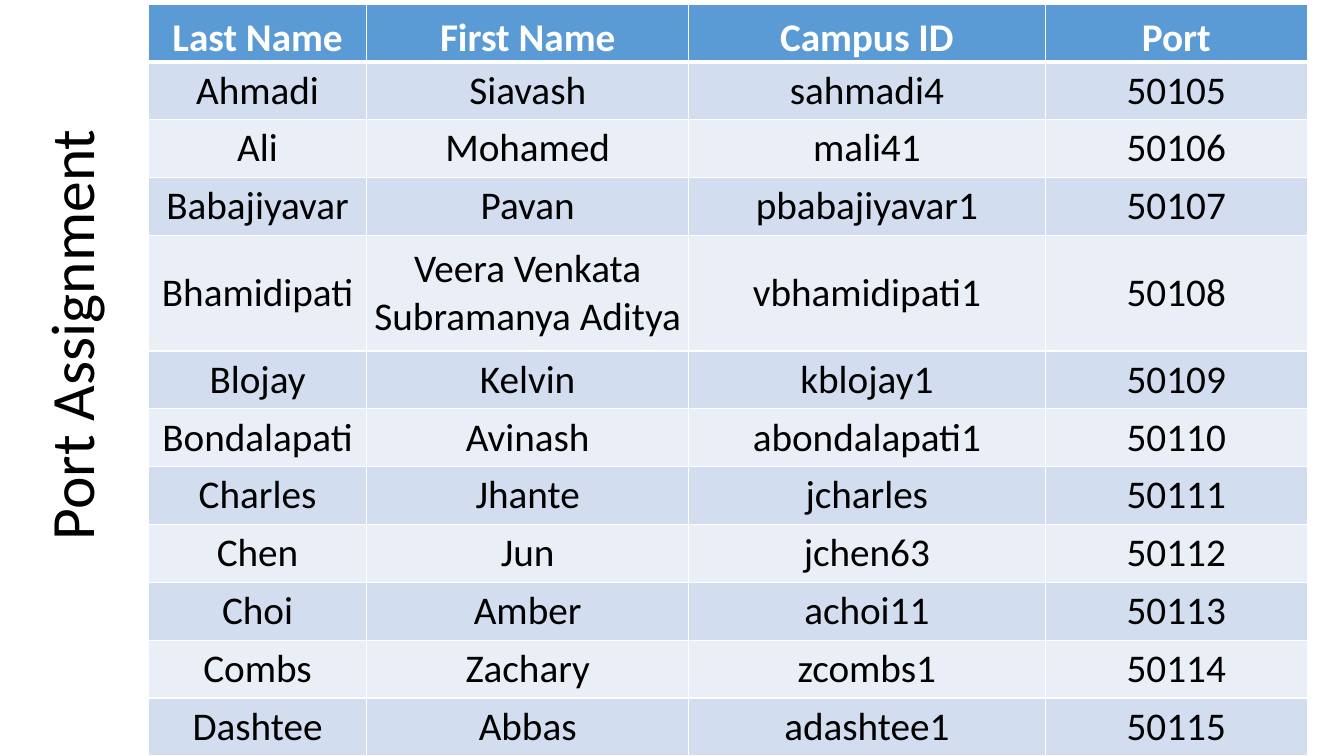
import pptx
import pptx.dml.color
import pptx.enum.text
import pptx.oxml
import pptx.oxml.ns
import pptx.util

COLORS = {
    "white": "FFFFFF",
    "black": "000000",
    "header": "5B9BD5",
    "odd": "D2DEEF",
    "even": "EAEFF7",
}
ANCHOR = pptx.enum.text.MSO_ANCHOR
ALIGN = pptx.enum.text.PP_ALIGN

HEADINGS = ["Last Name", "First Name", "Campus ID", "Port"]
FIRST_PORT = 50105
STUDENTS = [
    ("Ahmadi", "Siavash", "sahmadi4"),
    ("Ali", "Mohamed", "mali41"),
    ("Babajiyavar", "Pavan", "pbabajiyavar1"),
    ("Bhamidipati", "Veera Venkata Subramanya Aditya", "vbhamidipati1"),
    ("Blojay", "Kelvin", "kblojay1"),
    ("Bondalapati", "Avinash", "abondalapati1"),
    ("Charles", "Jhante", "jcharles"),
    ("Chen", "Jun", "jchen63"),
    ("Choi", "Amber", "achoi11"),
    ("Combs", "Zachary", "zcombs1"),
    ("Dashtee", "Abbas", "adashtee1"),
]
TWO_LINE_ROW = 4


def rgb(name):
    return pptx.dml.color.RGBColor.from_string(COLORS[name])


def grid(units):
    """Convert grid columns or rows, ten to the inch, to a length."""
    return pptx.util.Inches(units / 10)


def write(tf, text, font="Calibri", size=28, color="black", bold=False,
          align=ALIGN.CENTER, spacing=None):
    p = tf.paragraphs[0]
    p.alignment = align
    p.line_spacing = spacing
    r = p.add_run()
    r.text = text
    r.font.name = font
    r.font.size = pptx.util.Pt(size)
    r.font.bold = bold
    r.font.color.rgb = rgb(color)


class Deck:
    def __init__(self, columns, rows, font):
        self.prs = pptx.Presentation()
        self.prs.slide_width = grid(columns)
        self.prs.slide_height = grid(rows)
        self.font = font
        self.s = self.prs.slides.add_slide(self.prs.slide_layouts[6])

    def title(self, text, x, y, w, h, rotation):
        sp = self.s.shapes.add_textbox(grid(x), grid(y), grid(w), grid(h))
        sp.rotation = rotation
        tf = sp.text_frame
        tf.word_wrap = True
        tf.vertical_anchor = ANCHOR.MIDDLE
        write(tf, text, font=self.font, size=44, align=ALIGN.LEFT, spacing=0.9)

    def border(self, cell, side, width):
        ln = pptx.oxml.parse_xml(
            f'<a:ln{side} {pptx.oxml.ns.nsdecls("a")} w="{pptx.util.Pt(width)}">'
            f'<a:solidFill><a:srgbClr val="{COLORS["white"]}"/></a:solidFill>'
            f'</a:ln{side}>')
        cell._tc.get_or_add_tcPr().append(ln)

    def cell(self, cell, text, row):
        header = row == 0
        for side in "LRTB":
            thick = (header and side == "B") or (row == 1 and side == "T")
            self.border(cell, side, 3 if thick else 1)
        cell.fill.solid()
        fill = "header" if header else "odd" if row % 2 else "even"
        cell.fill.fore_color.rgb = rgb(fill)
        cell.margin_left = cell.margin_right = 0
        cell.margin_top = cell.margin_bottom = 0
        cell.vertical_anchor = ANCHOR.BOTTOM if header else ANCHOR.MIDDLE
        write(cell.text_frame, text, font=self.font, bold=header,
              color="white" if header else "black")

    def table(self, data, x, y, widths, heights):
        frame = self.s.shapes.add_table(
            len(data), len(widths), grid(x), grid(y),
            grid(sum(widths)), grid(sum(heights)))
        table = frame.table
        for column, width in zip(table.columns, widths):
            column.width = grid(width)
        for i, (values, height) in enumerate(zip(data, heights)):
            table.rows[i].height = grid(height)
            for j, text in enumerate(values):
                self.cell(table.cell(i, j), text, i)


def main():
    deck = Deck(133.33, 75, "Calibri")
    data = [HEADINGS] + [
        (*student, str(FIRST_PORT + i)) for i, student in enumerate(STUDENTS)]
    heights = [5.74 * (2 if i == TWO_LINE_ROW else 1) for i in range(len(data))]
    deck.table(data, 14.7, 0.4, [21.7, 31.9, 35.4, 26], heights)
    deck.title("Port Assignment", -14.3, 28.7, 43.4, 8.4, 270)
    deck.prs.save("out.pptx")


if __name__ == "__main__":
    main()
